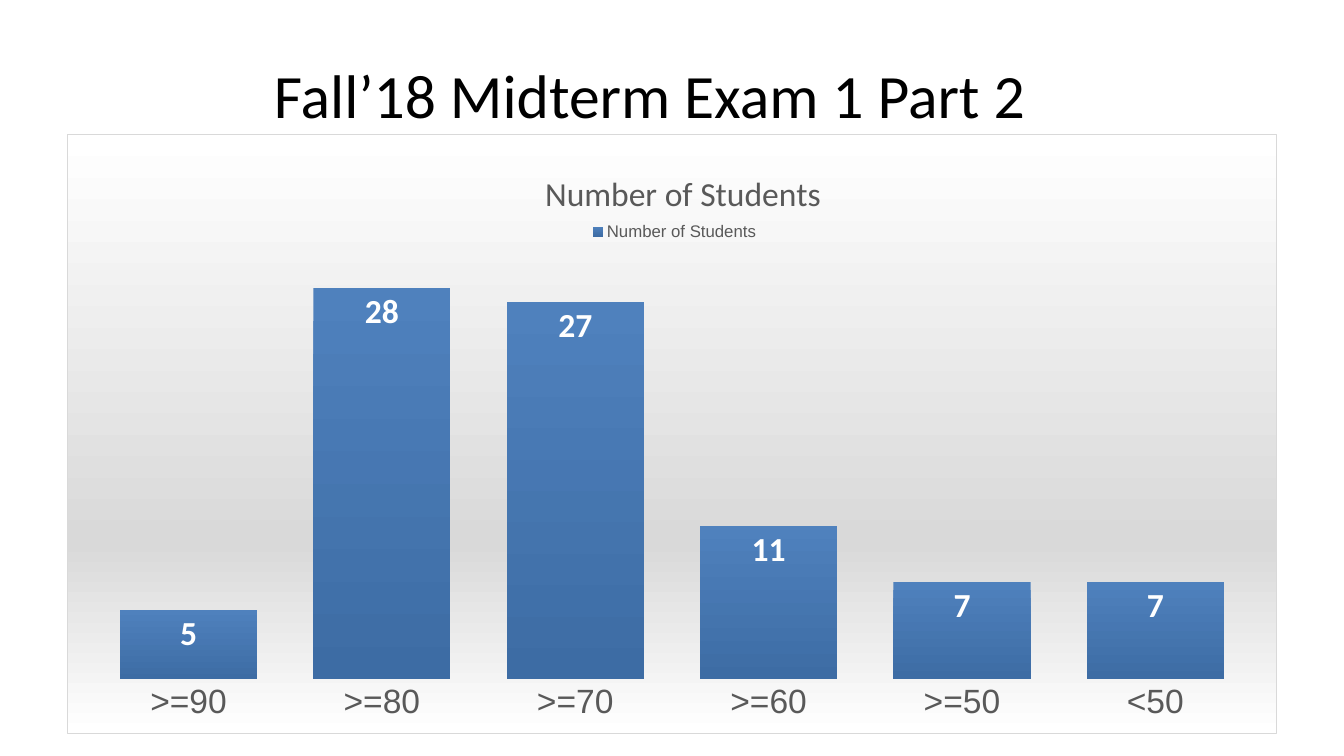
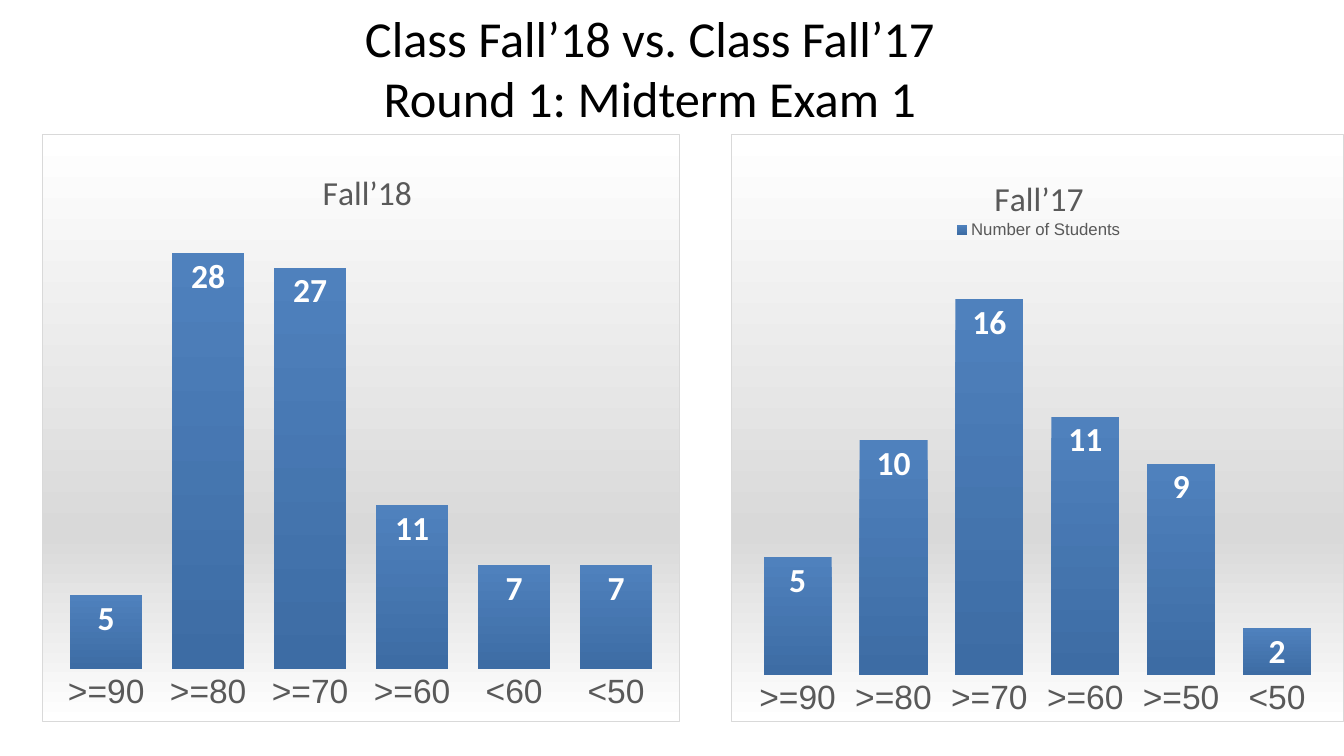
from lxml import etree
from pptx import Presentation
from pptx import util as u
from pptx.chart.data import CategoryChartData
from pptx.dml.color import RGBColor
from pptx.enum import chart as c
from pptx.enum import text as t
from pptx.oxml import parse_xml
from pptx.oxml.ns import nsdecls, qn

EMU_PER_PX = 9525
BLACK = RGBColor(0x00, 0x00, 0x00)
WHITE = RGBColor(0xFF, 0xFF, 0xFF)
GREY_TEXT = RGBColor(0x59, 0x59, 0x59)
GREY = RGBColor(0xD9, 0xD9, 0xD9)
BLUE = RGBColor(0x4F, 0x81, 0xBD)
DARK_BLUE = RGBColor(0x3D, 0x6C, 0xA4)

BACKGROUND_STOPS = [(0, WHITE), (68, GREY), (100, WHITE)]
BAR_STOPS = [(0, BLUE), (100, DARK_BLUE)]
HEADING_FONT = "Calibri"
CHART_FONT = "Arial"

GRADES = [">=90", ">=80", ">=70", ">=60", ">=50", "<50"]
FALL_18_GRADES = [">=90", ">=80", ">=70", ">=60", "<60", "<50"]
FALL_18 = [5, 28, 27, 11, 7, 7]
FALL_17 = [5, 10, 16, 11, 9, 2]


def px(*lengths):
    return [u.Emu(length * EMU_PER_PX) for length in lengths]


def style_font(font, size, color, name=CHART_FONT, bold=False):
    font.size = u.Pt(size)
    font.color.rgb = color
    font.name = name
    font.bold = bold


def write_text(frame, content, align=t.PP_ALIGN.CENTER, **font_format):
    """Fill the first paragraph, with a line break at each newline."""
    paragraph = frame.paragraphs[0]
    paragraph.alignment = align
    for index, line in enumerate(content.split("\n")):
        if index:
            paragraph.add_line_break()
        run = paragraph.add_run()
        run.text = line
        style_font(run.font, **font_format)


def add_title(slide, content, box, size):
    frame = slide.shapes.add_textbox(*px(*box)).text_frame
    frame.word_wrap = True
    frame.vertical_anchor = t.MSO_ANCHOR.MIDDLE
    write_text(frame, content, size=size, color=BLACK, name=HEADING_FONT)


def vertical_gradient(stops):
    stop_xml = "".join(
        f'<a:gs pos="{percent * 1000}"><a:srgbClr val="{color}"/></a:gs>'
        for percent, color in stops)
    return parse_xml(
        f'<a:gradFill {nsdecls("a")} rotWithShape="1"><a:gsLst>{stop_xml}'
        '</a:gsLst><a:lin ang="5400000" scaled="0"/></a:gradFill>')


def place(element, index, **fractions):
    """Give a chart part a manual layout, as fractions of the chart."""
    for old_layout in element.findall(qn("c:layout")):
        element.remove(old_layout)
    layout = etree.Element(qn("c:layout"))
    manual = etree.SubElement(layout, qn("c:manualLayout"))
    if "w" in fractions:
        etree.SubElement(manual, qn("c:layoutTarget")).set("val", "inner")
    for mode in ("xMode", "yMode"):
        etree.SubElement(manual, qn(f"c:{mode}")).set("val", "edge")
    for key, value in fractions.items():
        etree.SubElement(manual, qn(f"c:{key}")).set("val", str(value))
    element.insert(index, layout)


def fill_chart_area(chart):
    area = parse_xml(
        f'<c:spPr {nsdecls("c", "a")}><a:ln w="9525"><a:solidFill>'
        f'<a:srgbClr val="{GREY}"/></a:solidFill></a:ln></c:spPr>')
    area.insert(0, vertical_gradient(BACKGROUND_STOPS))
    chart.element.find(qn("c:chart")).addnext(area)


def style_axes(chart, maximum):
    categories, values = chart.category_axis, chart.value_axis
    categories.major_tick_mark = c.XL_TICK_MARK.NONE
    categories.format.line.fill.background()
    style_font(categories.tick_labels.font, 24, GREY_TEXT)
    values.visible = False
    values.has_major_gridlines = False
    values.minimum_scale = 0
    values.maximum_scale = maximum


def style_bars(plot):
    plot.gap_width = 41
    plot.vary_by_categories = False
    plot.has_data_labels = True
    labels = plot.data_labels
    labels.show_value = True
    labels.position = c.XL_LABEL_POSITION.INSIDE_END
    style_font(labels.font, 24, WHITE, HEADING_FONT, bold=True)
    series = plot.series[0]
    series.invert_if_negative = False
    series.format.line.fill.background()


def add_grade_chart(slide, box, title, grades, counts, maximum, title_at,
                    plot_at, legend_at=None, series_name="Number of Students"):
    chart_data = CategoryChartData()
    chart_data.categories = grades
    chart_data.add_series(series_name, counts)
    chart = slide.shapes.add_chart(
        c.XL_CHART_TYPE.COLUMN_CLUSTERED, *px(*box), chart_data).chart
    style_font(chart.font, 10, BLACK)
    fill_chart_area(chart)
    style_axes(chart, maximum)
    style_bars(chart.plots[0])
    for bars in chart.element.iter(qn("c:ser")):
        bars.find(qn("c:spPr")).insert(0, vertical_gradient(BAR_STOPS))

    chart.has_title = True
    write_text(chart.chart_title.text_frame, title,
               size=24, color=GREY_TEXT, name=HEADING_FONT)
    chart_root = chart.element.find(qn("c:chart"))
    plot_area = chart_root.find(qn("c:plotArea"))
    place(chart_root.find(qn("c:title")), 1, **title_at)
    place(plot_area, 0, **plot_at)

    chart.has_legend = legend_at is not None
    if chart.has_legend:
        chart.legend.position = c.XL_LEGEND_POSITION.TOP
        chart.legend.include_in_layout = False
        style_font(chart.legend.font, 12, GREY_TEXT)
        place(chart_root.find(qn("c:legend")), 1, **legend_at)


def main():
    presentation = Presentation()
    presentation.slide_width, presentation.slide_height = px(1280, 720)
    blank = presentation.slide_layouts[6]

    slide = presentation.slides.add_slide(blank)
    add_title(slide, "Fall’18 Midterm Exam 1 Part 2", (64, 29, 1110, 120), 44)
    add_grade_chart(
        slide, (64, 128, 1152, 571), "Number of Students", GRADES, FALL_18, 30,
        title_at=dict(x=0.39, y=0.05),
        plot_at=dict(x=0.02, y=0.21, w=0.96, h=0.7),
        legend_at=dict(x=0.43, y=0.14))

    slide = presentation.slides.add_slide(blank)
    add_title(slide, "Class Fall’18 vs. Class Fall’17\nRound 1: Midterm Exam 1",
              (64, 0, 1110, 128), 36)
    add_grade_chart(
        slide, (40, 128, 608, 560), "Fall’18", FALL_18_GRADES, FALL_18, 30,
        title_at=dict(x=0.43, y=0.05),
        plot_at=dict(x=0.02, y=0.15, w=0.96, h=0.76),
        series_name="Series 1")
    add_grade_chart(
        slide, (696, 128, 584, 560), "Fall’17", GRADES, FALL_17, 18,
        title_at=dict(x=0.42, y=0.06),
        plot_at=dict(x=0.03, y=0.2, w=0.94, h=0.72),
        legend_at=dict(x=0.36, y=0.14))

    presentation.save("out.pptx")


if __name__ == "__main__":
    main()
